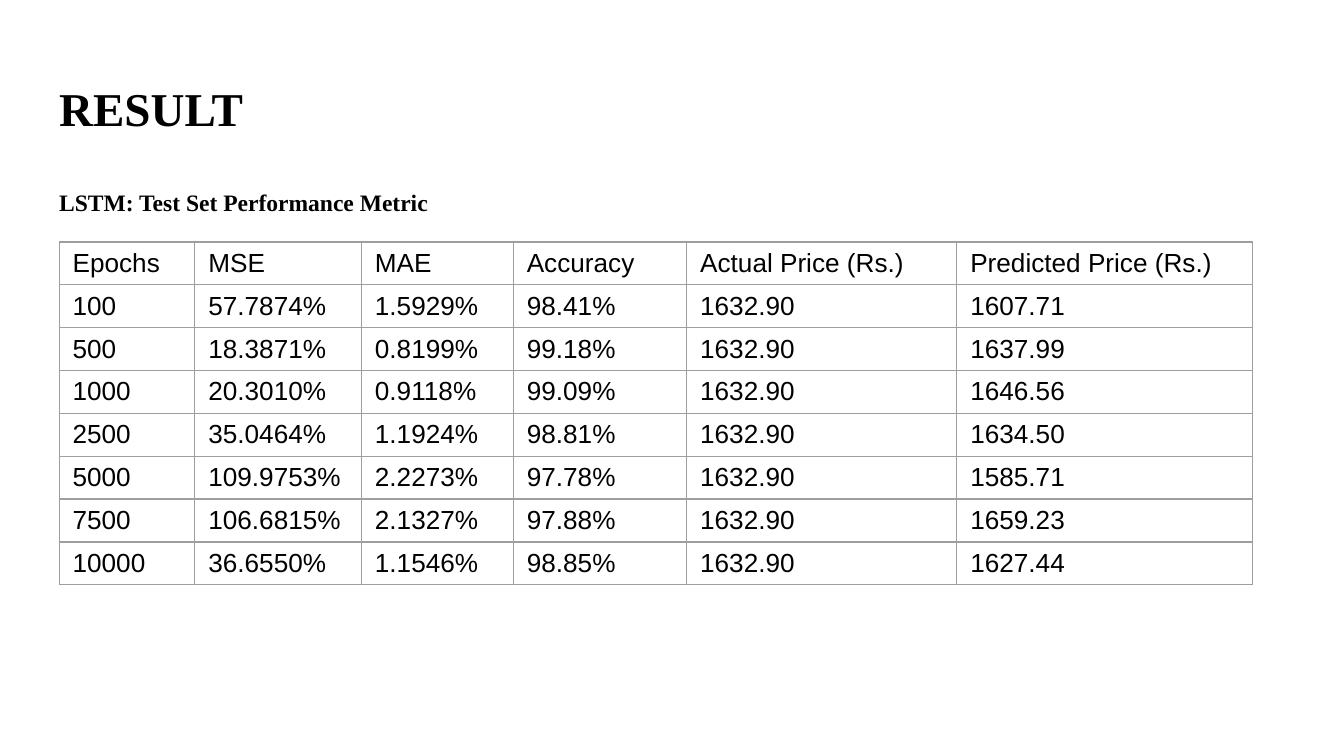
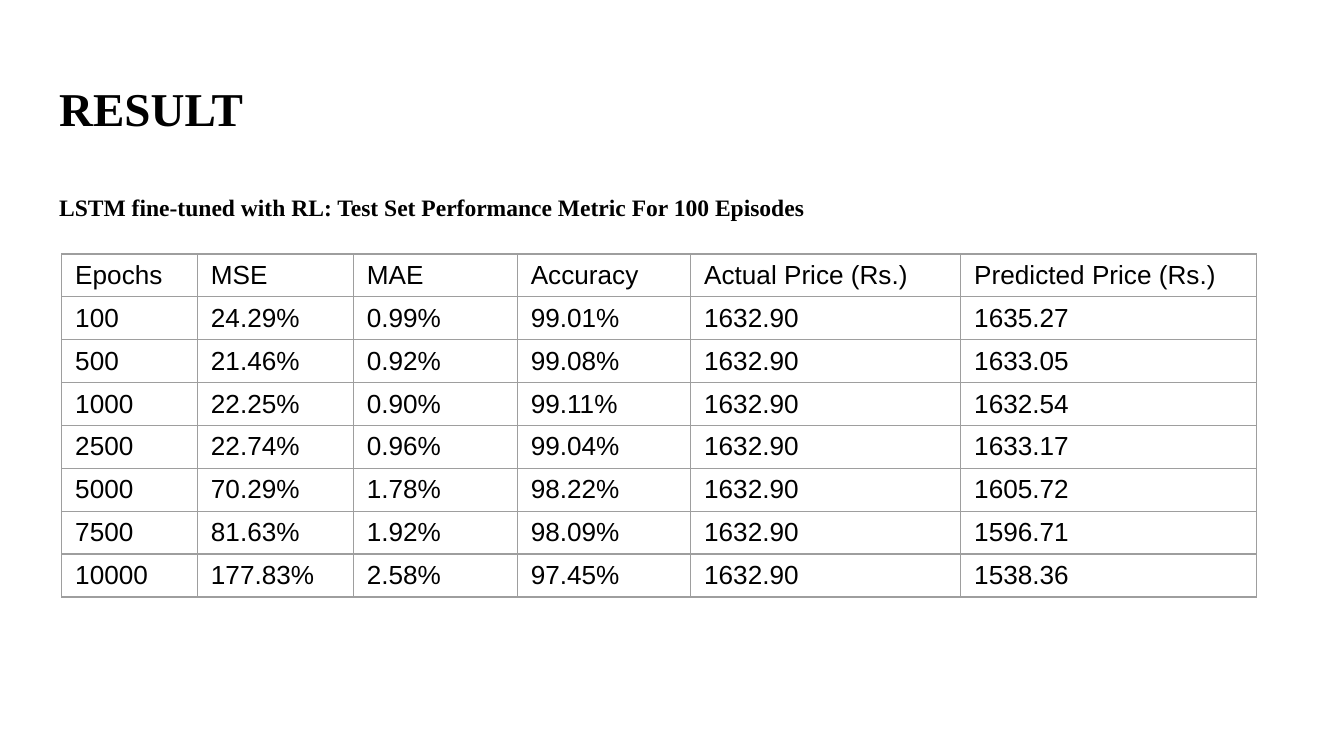
from dataclasses import dataclass

from lxml import etree
from pptx import Presentation
from pptx.dml.color import RGBColor
from pptx.enum import text
from pptx.oxml import ns
from pptx.util import Inches, Pt


@dataclass(frozen=True)
class Theme:
    ink: str = "000000"
    rule: str = "9E9E9E"
    title_font: str = "Times New Roman"
    table_font: str = "Arial"
    title_size: float = 25.2
    subtitle_size: float = 12.6
    table_size: float = 14
    rule_width: float = 0.75


THEME = Theme()
TITLE = "RESULT"
HEADER = ("Epochs", "MSE", "MAE", "Accuracy", "Actual Price (Rs.)", "Predicted Price (Rs.)")
EPOCHS = ("100", "500", "1000", "2500", "5000", "7500", "10000")
ACTUAL_PRICE = "1632.90"
ROW_HEIGHT = 0.26

RESULTS = [
    {
        "subtitle": "LSTM: Test Set Performance Metric",
        "subtitle_gap": 27.7,
        "origin": (0.44, 1.8),
        "widths": (1.01, 1.24, 1.13, 1.29, 2.01, 2.2),
        "metrics": [
            ("57.7874%", "1.5929%", "98.41%", "1607.71"),
            ("18.3871%", "0.8199%", "99.18%", "1637.99"),
            ("20.3010%", "0.9118%", "99.09%", "1646.56"),
            ("35.0464%", "1.1924%", "98.81%", "1634.50"),
            ("109.9753%", "2.2273%", "97.78%", "1585.71"),
            ("106.6815%", "2.1327%", "97.88%", "1659.23"),
            ("36.6550%", "1.1546%", "98.85%", "1627.44"),
        ],
    },
    {
        "subtitle": "LSTM fine-tuned with RL: Test Set Performance Metric For 100 Episodes",
        "subtitle_gap": 30.5,
        "origin": (0.46, 1.89),
        "widths": (1.01, 1.16, 1.22, 1.29, 2.01, 2.2),
        "metrics": [
            ("24.29%", "0.99%", "99.01%", "1635.27"),
            ("21.46%", "0.92%", "99.08%", "1633.05"),
            ("22.25%", "0.90%", "99.11%", "1632.54"),
            ("22.74%", "0.96%", "99.04%", "1633.17"),
            ("70.29%", "1.78%", "98.22%", "1605.72"),
            ("81.63%", "1.92%", "98.09%", "1596.71"),
            ("177.83%", "2.58%", "97.45%", "1538.36"),
        ],
    },
]


def style(p, font, size, bold=False):
    p.alignment = text.PP_ALIGN.LEFT
    p.font.name = font
    p.font.size = Pt(size)
    p.font.bold = bold
    p.font.color.rgb = RGBColor.from_string(THEME.ink)


def set_borders(cell):
    tcPr = cell._tc.get_or_add_tcPr()
    for side in ("lnL", "lnR", "lnT", "lnB"):
        ln = etree.SubElement(tcPr, ns.qn(f"a:{side}"), w=str(Pt(THEME.rule_width)))
        fill = etree.SubElement(ln, ns.qn("a:solidFill"))
        etree.SubElement(fill, ns.qn("a:srgbClr"), val=THEME.rule)


def add_title(s, subtitle, gap):
    sp = s.shapes.title
    sp.left, sp.top, sp.width, sp.height = map(Inches, (0.34, 0.49, 9.32, 0.63))
    tf = sp.text_frame
    tf.word_wrap = True
    tf.auto_size = text.MSO_AUTO_SIZE.NONE
    tf.vertical_anchor = text.MSO_ANCHOR.TOP
    tf.margin_left = tf.margin_right = tf.margin_top = tf.margin_bottom = Inches(0.1)
    tf.text = f"{TITLE}\n{subtitle}"
    heading, caption = tf.paragraphs
    style(heading, THEME.title_font, THEME.title_size, bold=True)
    style(caption, THEME.title_font, THEME.subtitle_size, bold=True)
    caption.space_before = Pt(gap)


def add_results(s, origin, widths, metrics):
    rows = [HEADER] + [
        (epochs, mse, mae, accuracy, ACTUAL_PRICE, predicted)
        for epochs, (mse, mae, accuracy, predicted) in zip(EPOCHS, metrics)
    ]
    size = (sum(widths), ROW_HEIGHT * len(rows))
    table = s.shapes.add_table(len(rows), len(HEADER), *map(Inches, origin + size)).table
    table.first_row = table.horz_banding = False
    for column, width in zip(table.columns, widths):
        column.width = Inches(width)
    for row, values in zip(table.rows, rows):
        row.height = Inches(ROW_HEIGHT)
        for cell, value in zip(row.cells, values):
            cell.text = value
            cell.margin_left = cell.margin_right = Inches(0.1)
            cell.margin_top = cell.margin_bottom = Inches(0.05)
            style(cell.text_frame.paragraphs[0], THEME.table_font, THEME.table_size)
            set_borders(cell)
            cell.fill.background()


def main():
    prs = Presentation()
    prs.slide_width = Inches(10)
    prs.slide_height = prs.slide_width * 9 // 16
    for result in RESULTS:
        s = prs.slides.add_slide(prs.slide_layouts.get_by_name("Title Only"))
        add_title(s, result["subtitle"], result["subtitle_gap"])
        add_results(s, result["origin"], result["widths"], result["metrics"])
    prs.save("out.pptx")


if __name__ == "__main__":
    main()
